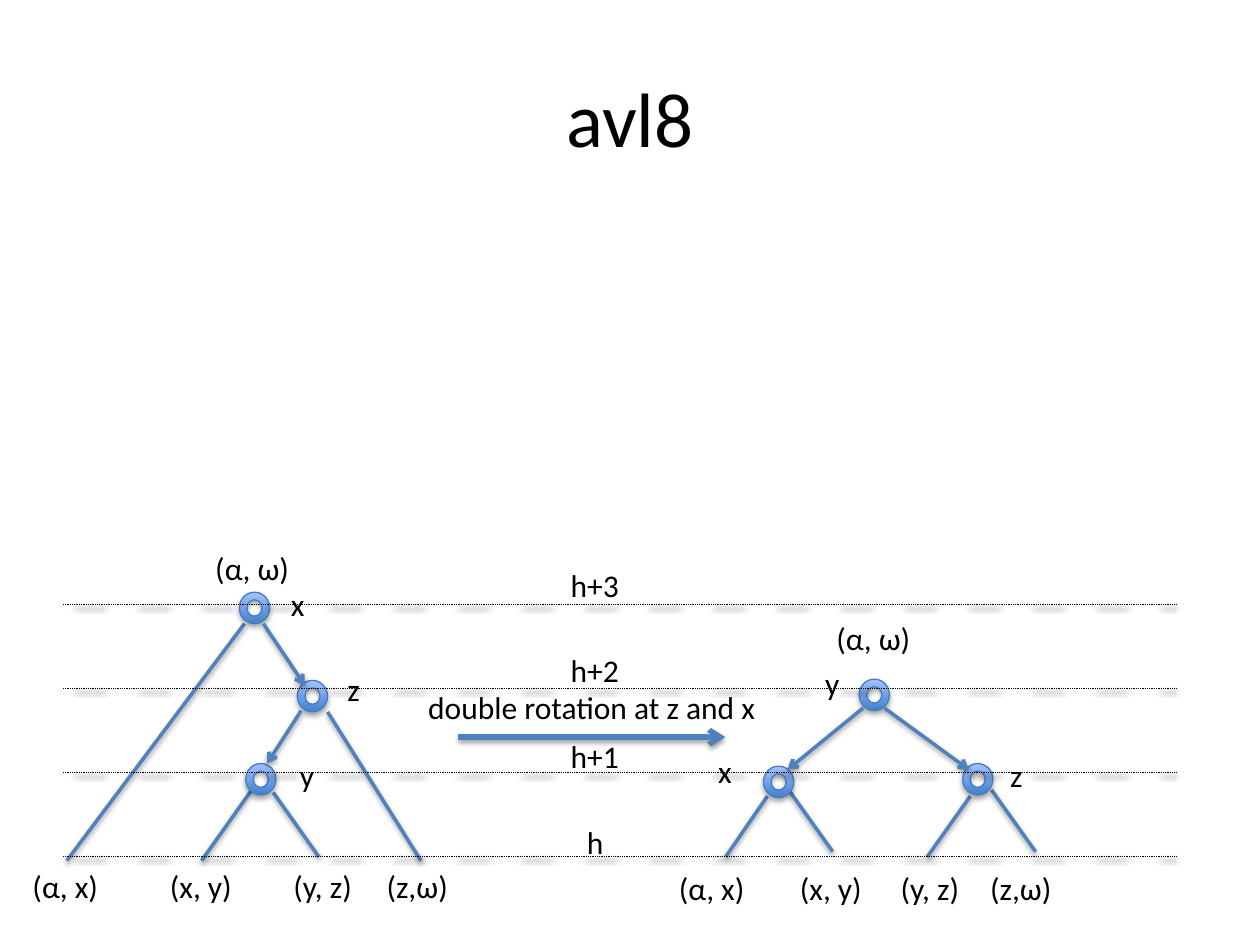
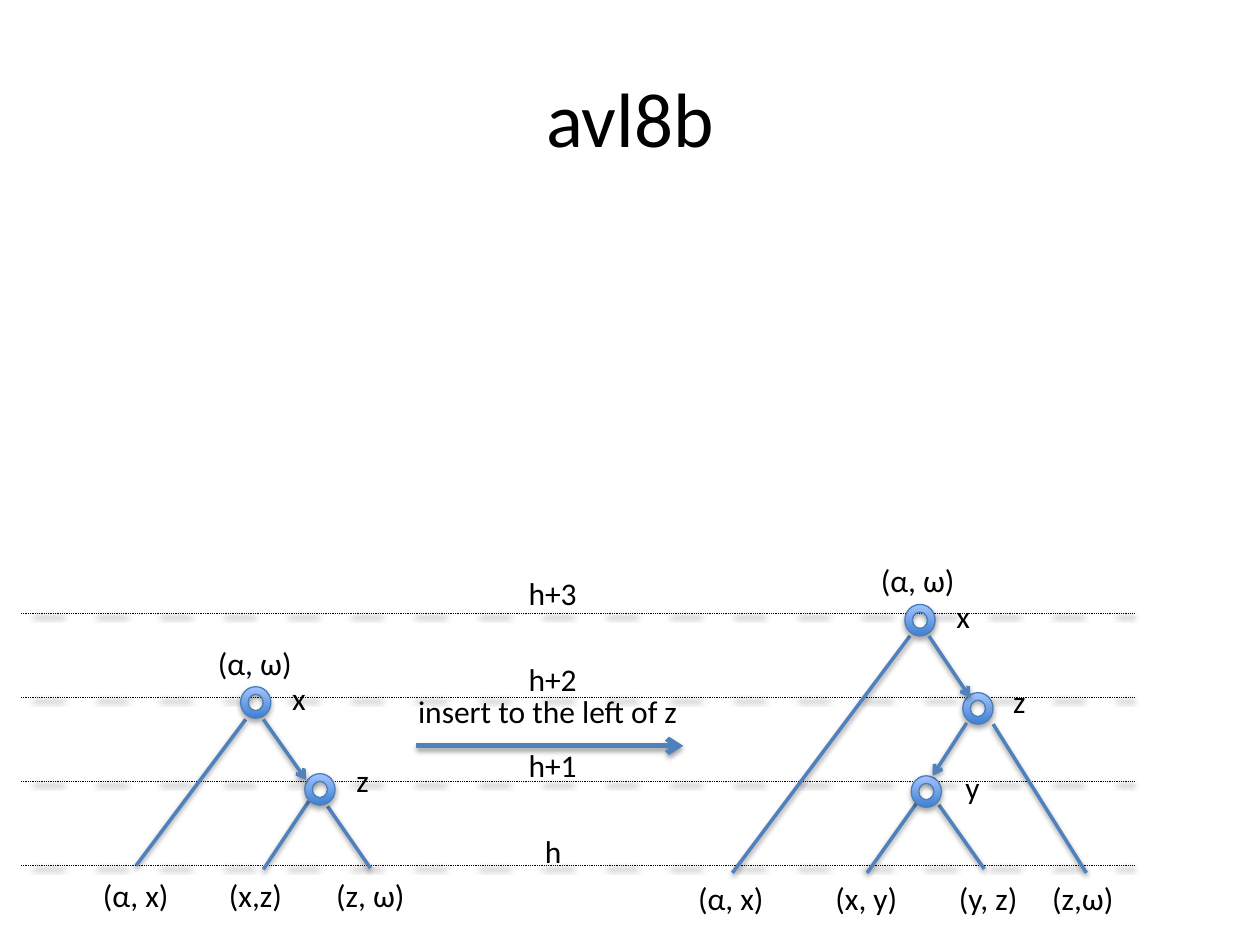
import dataclasses

import pptx
import pptx.dml.color
import pptx.enum.dml
import pptx.enum.shapes
import pptx.enum.text
import pptx.oxml
import pptx.oxml.ns
import pptx.util

Pt = pptx.util.Pt
RGBColor = pptx.dml.color.RGBColor

BLACK = RGBColor(0x00, 0x00, 0x00)
EDGE_BLUE = RGBColor(0x4F, 0x81, 0xBD)
NODE_OUTLINE = RGBColor(0x4B, 0x7E, 0xBC)
NODE_DARK = RGBColor(0x3F, 0x80, 0xCE)
NODE_LIGHT = RGBColor(0xA4, 0xC4, 0xFF)

LABEL_WIDTHS = {
    "x": 22.3, "y": 23, "z": 21.6, "h": 23.8, "h+1": 42.5, "h+2": 42.5, "h+3": 42.5,
    "(α, ω)": 56.9, "(α, x)": 52.6, "(x, y)": 50.4, "(y, z)": 48.2, "(z,ω)": 54,
    "(x,z)": 50.4, "(z, ω)": 54,
    "double rotation at z and x": 203.8, "insert to the left of z": 164.9,
}


@dataclasses.dataclass
class Tree:
    """Nodes are left, top; edges and links (with arrowhead) are x1, y1, x2, y2."""
    nodes: list
    links: list
    edges: list
    labels: list
    leaf_top: float
    leaves: list


UNBALANCED = Tree(
    nodes=[(136.8, 338.4), (140.4, 436.3), (169.9, 388.8)],
    links=[(150.5, 356.4, 174.2, 391.7), (172.1, 406.1, 152.6, 436.3)],
    edges=[(139.7, 356.4, 38.2, 491.8), (143.3, 452.2, 115.2, 491.8),
           (156.2, 452.9, 182.2, 489.6), (187.2, 406.8, 240.5, 491.8)],
    labels=[("(α, ω)", 115.9, 310.3), ("x", 159.1, 330.5),
            ("z", 191.5, 379.4), ("y", 164.2, 428.4)],
    leaf_top=491.8,
    leaves=[("(α, x)", 11.5), ("(x, y)", 90), ("(y, z)", 160.6), ("(z,ω)", 213.8)],
)

BALANCED = Tree(
    nodes=[(491, 388.1), (550.1, 436.3), (436.3, 437.8)],
    links=[(493.2, 404.6, 450, 439.9), (505.4, 404.6, 553.7, 439.9)],
    edges=[(438.5, 455, 414.7, 489.6), (450.7, 451.4, 475.9, 486.7),
           (554.4, 455, 529.9, 489.6), (566.6, 451.4, 591.8, 486.7)],
    labels=[("(α, ω)", 470.9, 349.9), ("y", 464.4, 375.8),
            ("x", 403.2, 426.2), ("z", 570.2, 428.4)],
    leaf_top=493.2,
    leaves=[("(α, x)", 380.9), ("(x, y)", 450), ("(y, z)", 507.6), ("(z,ω)", 558.7)],
)

BEFORE_INSERT = Tree(
    nodes=[(137.5, 392.4), (174.2, 442.1)],
    links=[(150.5, 411.1, 175, 445.7)],
    edges=[(140.4, 411.1, 77.8, 494.6), (176.4, 457.9, 150.5, 496.8),
           (187.2, 460.8, 211.7, 496.1)],
    labels=[("(α, ω)", 117.4, 364.3), ("x", 159.8, 384.5), ("z", 196.6, 431.3)],
    leaf_top=496.8,
    leaves=[("(α, x)", 51.8), ("(x,z)", 123.8), ("(z, ω)", 185)],
)


class TreeDeck:
    FONT = "Calibri"

    def __init__(self):
        self.presentation = pptx.Presentation()
        self.presentation.slide_width = Pt(720)
        self.presentation.slide_height = Pt(540)
        self.slide = None

    def add_slide(self, title):
        self.slide = self.presentation.slides.add_slide(self.presentation.slide_layouts[6])
        frame = self.text(title, 36, 21.6, 648, 90, size=44)
        frame.word_wrap = True
        frame.vertical_anchor = pptx.enum.text.MSO_ANCHOR.MIDDLE
        frame.paragraphs[0].alignment = pptx.enum.text.PP_ALIGN.CENTER

    def text(self, words, left, top, width, height, size):
        box = self.slide.shapes.add_textbox(Pt(left), Pt(top), Pt(width), Pt(height))
        run = box.text_frame.paragraphs[0].add_run()
        run.text = words
        run.font.name = self.FONT
        run.font.size = Pt(size)
        run.font.color.rgb = BLACK
        return box.text_frame

    def label(self, words, left, top):
        frame = self.text(words, left, top, LABEL_WIDTHS[words], 29, size=18)
        frame.word_wrap = False

    def shadow(self, properties, distance, opacity):
        """Put a soft downward shadow on a shape's spPr element."""
        for old in properties.findall(pptx.oxml.ns.qn("a:effectLst")):
            properties.remove(old)
        properties.append(pptx.oxml.parse_xml(
            f'<a:effectLst {pptx.oxml.ns.nsdecls("a")}>'
            f'<a:outerShdw blurRad="{Pt(3.1)}" dist="{Pt(distance)}" dir="5400000" rotWithShape="0">'
            f'<a:srgbClr val="{BLACK}"><a:alpha val="{opacity * 1000}"/></a:srgbClr>'
            '</a:outerShdw></a:effectLst>'))

    def line(self, ends, color=EDGE_BLUE, width=2, dotted=False, arrow=False):
        connector = self.slide.shapes.add_connector(
            pptx.enum.shapes.MSO_CONNECTOR.STRAIGHT, *[Pt(value) for value in ends])
        connector.line.color.rgb = color
        connector.line.width = Pt(width)
        if dotted:
            connector.line.dash_style = pptx.enum.dml.MSO_LINE.ROUND_DOT
        if arrow:
            connector.line._get_or_add_ln().append(pptx.oxml.parse_xml(
                f'<a:tailEnd {pptx.oxml.ns.nsdecls("a")} type="arrow"/>'))
        self.shadow(connector._element.spPr, 1.6, 38)

    def node(self, left, top):
        ring = self.slide.shapes.add_shape(
            pptx.enum.shapes.MSO_SHAPE.DONUT, Pt(left), Pt(top), Pt(17.3), Pt(18))
        ring.shadow.inherit = False
        ring.fill.gradient()
        ring.fill.gradient_angle = 90
        for stop, color, position in zip(ring.fill.gradient_stops, (NODE_DARK, NODE_LIGHT), (0, 1)):
            stop.color.rgb = color
            stop.position = position
        ring.line.color.rgb = NODE_OUTLINE
        ring.line.width = Pt(0.75)
        self.shadow(ring._element.spPr, 1.8, 35)

    def tree(self, tree, right=0, down=0):
        for x1, y1, x2, y2 in tree.edges:
            self.line((x1 + right, y1 + down, x2 + right, y2 + down))
        for left, top in tree.nodes:
            self.node(left + right, top + down)
        for x1, y1, x2, y2 in tree.links:
            self.line((x1 + right, y1 + down, x2 + right, y2 + down), arrow=True)
        leaf_labels = [(words, left, tree.leaf_top) for words, left in tree.leaves]
        for words, left, top in tree.labels + leaf_labels:
            self.label(words, left + right, top + down)

    def levels(self, right=0, down=0):
        """Draw the dotted height levels and the arrow between the trees."""
        for level, words in enumerate(("h", "h+1", "h+2", "h+3")):
            y = 489.6 - 48 * level + down
            self.line((36 + right, y, 672 + right, y), BLACK, 0.5, dotted=True)
            self.label(words, 340.2 - LABEL_WIDTHS[words] / 2 + right, 466.6 - 49 * level + down)
        self.line((262 + right, 421.2 + down, 414.5 + right, 421.2 + down), width=3, arrow=True)


def main():
    deck = TreeDeck()

    deck.add_slide("avl8")
    deck.tree(UNBALANCED)
    deck.tree(BALANCED)
    deck.levels()
    deck.label("double rotation at z and x", 237.6, 389.5)

    deck.add_slide("avl8b")
    deck.levels(right=-24, down=5)
    deck.tree(BEFORE_INSERT)
    deck.tree(UNBALANCED, right=380.3, down=7)
    deck.label("insert to the left of z", 231.8, 391.7)

    deck.presentation.save("out.pptx")


if __name__ == "__main__":
    main()
